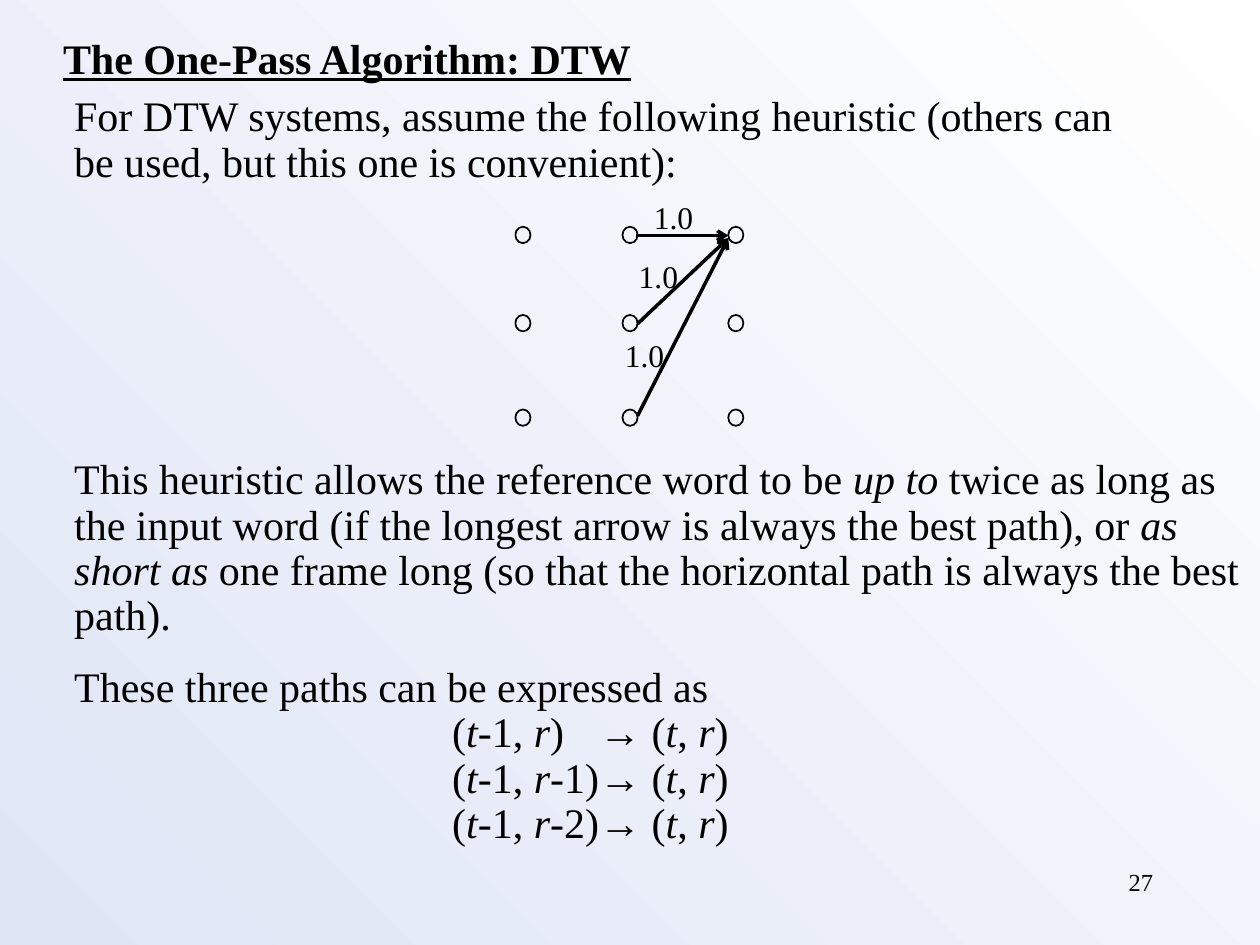
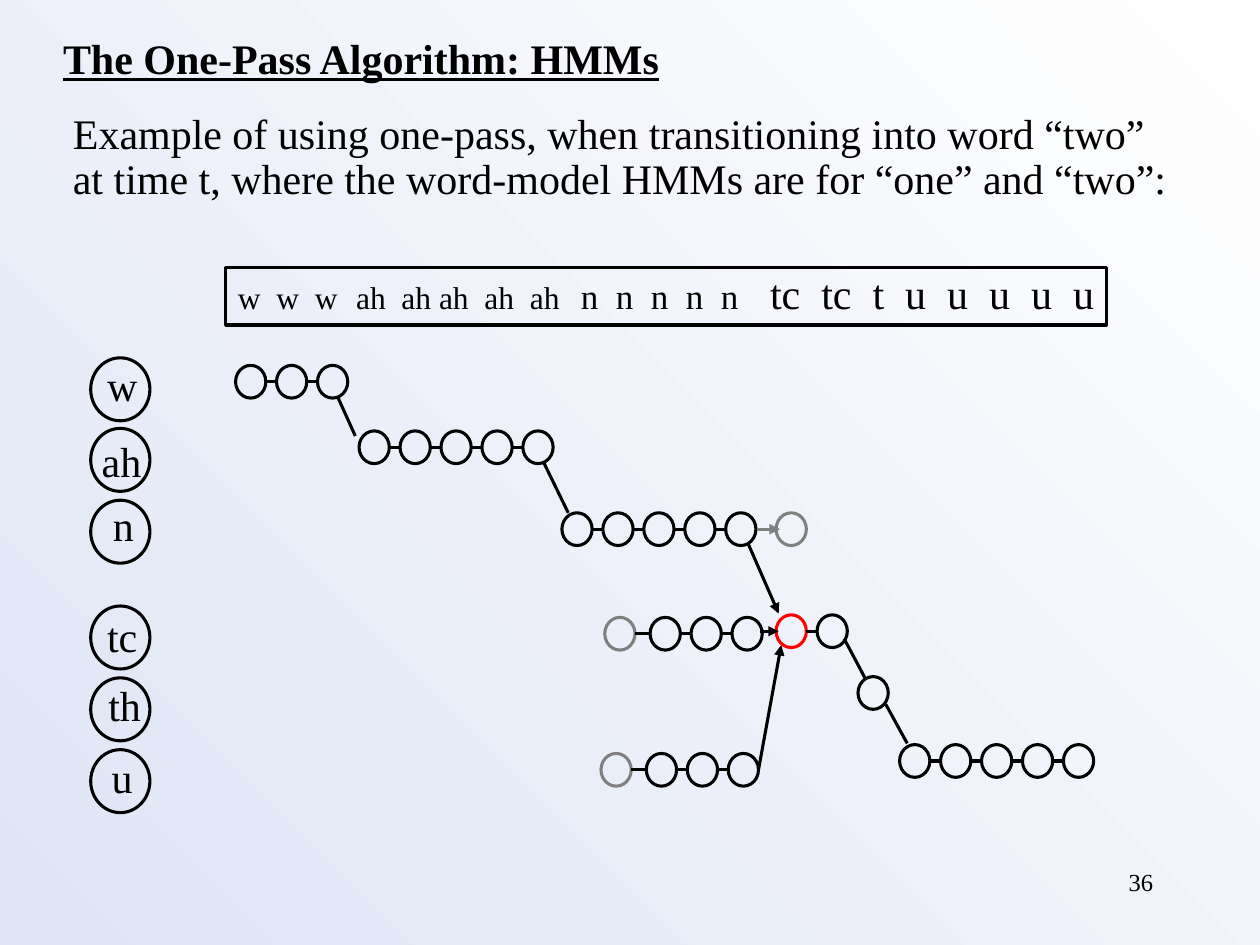
from typing import Any, NamedTuple, Optional

import lxml.etree
import pptx
import pptx.dml.color
import pptx.enum.shapes
import pptx.enum.text
import pptx.oxml.ns
import pptx.util

Inches = pptx.util.Inches
Pt = pptx.util.Pt
Align = pptx.enum.text.PP_ALIGN
Anchor = pptx.enum.text.MSO_ANCHOR
Preset = pptx.enum.shapes.MSO_SHAPE
Color = pptx.dml.color.RGBColor

BLACK = Color(0x00, 0x00, 0x00)
WHITE = Color(0xFF, 0xFF, 0xFF)
PALE_BLUE = Color(0xDF, 0xE5, 0xF5)
GRAY = Color(0x80, 0x80, 0x80)
RED = Color(0xFF, 0x00, 0x00)

FONT = "Times New Roman"
TIGHT = 0.9
TITLE_FORMAT = {"bold": True, "underline": True}
TITLE_ONLY = 5

NODE_WIDTH, NODE_HEIGHT = 0.24, 0.26
NODE_PITCH = 0.325
LEAD_IN = 0.36


class Box(NamedTuple):
    left: float
    top: float
    width: float
    height: float


class Span(NamedTuple):
    text: str
    size: float = 24
    italic: bool = False


class Para(NamedTuple):
    spans: list[Span]
    format: dict[str, Any] = {}
    indent: float = 0


class Link(NamedTuple):
    start: tuple[float, float]
    end: tuple[float, float]
    head: Optional[str] = None
    color: Color = BLACK
    weight: float = 1.75


class State(NamedTuple):
    label: str
    top: float
    label_box: Box


class Chain(NamedTuple):
    """A row of linked trellis nodes, optionally led in by a gray node."""
    left: float
    top: float
    count: int = 1
    first_color: Color = BLACK
    led_in: bool = False


TITLE_BOX = Box(0.4, 0.21, 5, 0.5)
NUMBER_BOX = Box(7.17, 6.83, 2.08, 0.5)

GRID_LEFTS = (4.09, 4.94, 5.78)
GRID_TOPS = (1.8, 2.5, 3.25)
GRID_TARGET = (5.78, 1.89)
STEPS = [
    Link((5.05, 1.87), (5.78, 1.87), "arrow", weight=2),
    Link((5.06, 2.57), GRID_TARGET, "arrow", weight=2),
    Link((5.06, 3.3), GRID_TARGET, "arrow", weight=2),
]
STEP_WEIGHT_CORNERS = [(5.09, 1.52), (4.97, 1.99), (4.86, 2.62)]

STATES = [
    State("w", 2.84, Box(0.75, 2.85, 0.44, 0.46)),
    State("ah", 3.4, Box(0.71, 3.45, 0.51, 0.46)),
    State("n", 3.97, Box(0.8, 3.96, 0.36, 0.46)),
    State("tc", 4.81, Box(0.75, 4.84, 0.44, 0.46)),
    State("th", 5.38, Box(0.76, 5.39, 0.46, 0.46)),
    State("u", 5.95, Box(0.79, 5.96, 0.36, 0.46)),
]
OBSERVATIONS = [
    Span("w  w  w ", 18), Span(" "), Span("ah  ah ah  ah  ah", 18), Span("  "),
    Span("n  n  n  n  n", 20), Span("   tc  tc  t  u  u  u  u  u"),
]
CHAINS = [
    Chain(1.87, 2.9, 3),
    Chain(2.85, 3.42, 5),
    Chain(4.46, 4.07, 5),
    Chain(6.16, 4.07, first_color=GRAY),
    Chain(5.16, 4.9, 3, led_in=True),
    Chain(6.16, 4.88, 2, first_color=RED),
    Chain(6.81, 5.37),
    Chain(7.14, 5.91, 5),
    Chain(5.13, 5.98, 3, led_in=True),
]
TRANSITIONS = [
    Link((2.68, 3.15), (2.82, 3.46)),
    Link((4.31, 3.66), (4.51, 4.07)),
    Link((6.7, 5.07), (6.87, 5.39)),
    Link((7.03, 5.59), (7.2, 5.9)),
    Link((6.01, 4.2), (6.19, 4.2), "triangle", GRAY),
    Link((5.94, 4.32), (6.18, 4.87), "triangle"),
    Link((6.03, 5.01), (6.18, 5.01), "triangle"),
    Link((6.02, 6.11), (6.2, 5.12), "triangle"),
]


def apply_format(target: Any, values: dict[str, Any]) -> None:
    for name, value in values.items():
        setattr(target, name, value)


def inches(box: Box) -> list[int]:
    return [Inches(length) for length in box]


def with_italics(markup: str) -> list[Span]:
    """Split text at asterisks; every second piece is italic."""
    return [Span(piece, italic=i % 2 == 1)
            for i, piece in enumerate(markup.split("*")) if piece]


def write(frame: Any, paras: list[Para], wrap: bool = False,
          anchor: Any = Anchor.TOP, font_format: dict[str, Any] = {}) -> None:
    apply_format(frame, {"word_wrap": wrap, "vertical_anchor": anchor,
                         "auto_size": pptx.enum.text.MSO_AUTO_SIZE.NONE})
    for i, para in enumerate(paras):
        paragraph = frame.add_paragraph() if i else frame.paragraphs[0]
        apply_format(paragraph, {"alignment": Align.LEFT, **para.format})
        if para.indent:
            properties = paragraph._p.get_or_add_pPr()
            properties.set("marL", str(Inches(para.indent)))
            properties.set("indent", "0")
        for span in para.spans:
            for j, line in enumerate(span.text.split("\n")):
                if j:
                    paragraph.add_line_break()
                run = paragraph.add_run()
                run.text = line
                apply_format(run.font, {"name": FONT, "size": Pt(span.size),
                                        "italic": span.italic, **font_format})
                run.font.color.rgb = BLACK


def add_text(slide: Any, box: Box, paras: list[Para], wrap: bool = False,
             anchor: Any = Anchor.TOP) -> None:
    write(slide.shapes.add_textbox(*inches(box)).text_frame, paras, wrap, anchor)


def add_outline(slide: Any, preset: Any, box: Box, color: Color = BLACK,
                weight: float = 1.75) -> Any:
    outline = slide.shapes.add_shape(preset, *inches(box))
    outline.shadow.inherit = False
    outline.fill.background()
    outline.line.color.rgb = color
    outline.line.width = Pt(weight)
    return outline


def add_link(slide: Any, link: Link) -> None:
    connector = slide.shapes.add_connector(
        pptx.enum.shapes.MSO_CONNECTOR.STRAIGHT,
        *(Inches(length) for length in link.start + link.end))
    connector.line.color.rgb = link.color
    connector.line.width = Pt(link.weight)
    qn = pptx.oxml.ns.qn
    properties = connector._element.spPr
    if link.head:
        lxml.etree.SubElement(properties.find(qn("a:ln")), qn("a:tailEnd"),
                              type=link.head)
    lxml.etree.SubElement(properties, qn("a:effectLst"))


def add_chain(slide: Any, chain: Chain) -> None:
    lefts = [chain.left + i * NODE_PITCH for i in range(chain.count)]
    colors = [chain.first_color] + [BLACK] * (chain.count - 1)
    if chain.led_in:
        lefts.insert(0, chain.left - LEAD_IN)
        colors.insert(0, GRAY)
    for left, color in zip(lefts, colors):
        add_outline(slide, Preset.OVAL,
                    Box(left, chain.top, NODE_WIDTH, NODE_HEIGHT), color)
    middle = chain.top + NODE_HEIGHT / 2
    for left, following in zip(lefts, lefts[1:]):
        add_link(slide, Link((left + NODE_WIDTH, middle), (following, middle)))


def start_slide(deck: Any, title: str, number: int) -> Any:
    slide = deck.slides.add_slide(deck.slide_layouts[TITLE_ONLY])
    heading = slide.shapes.title
    apply_format(heading, dict(zip(("left", "top", "width", "height"),
                                   inches(TITLE_BOX))))
    write(heading.text_frame, [Para([Span(title)])], font_format=TITLE_FORMAT)
    add_text(slide, NUMBER_BOX,
             [Para([Span(str(number), 14)], {"alignment": Align.RIGHT})], wrap=True)
    return slide


def build_dtw_slide(deck: Any) -> None:
    slide = start_slide(deck, "The One-Pass Algorithm: DTW", 27)
    tight = {"line_spacing": TIGHT}
    add_text(slide, Box(0.49, 0.71, 9.51, 0.82), [Para([Span(
        "For DTW systems, assume the following heuristic (others can\n"
        "be used, but this one is convenient):")], tight)], wrap=True)

    for step in STEPS:
        add_link(slide, step)
    for left in GRID_LEFTS:
        for top in GRID_TOPS:
            add_outline(slide, Preset.OVAL, Box(left, top, 0.12, 0.13), weight=1)
    for left, top in STEP_WEIGHT_CORNERS:
        add_text(slide, Box(left, top, 0.51, 0.4),
                 [Para([Span("1.0", 18)], {"alignment": Align.CENTER})])

    explanation = Para(with_italics(
        "This heuristic allows the reference word to be *up to* twice as long as "
        "the input word (if the longest arrow is always the best path), or "
        "*as short as* one frame long (so that the horizontal path is always "
        "the best path)."), tight)
    lead = Para([Span("These three paths can be expressed as")],
                {**tight, "space_before": Pt(15)})
    moves = [Para(with_italics(f"(*t*-1, *r*{origin}→ (*t*, *r*)"), tight, indent=3)
             for origin in (") \t  ", "-1)", "-2)")]
    add_text(slide, Box(0.49, 3.59, 9.51, 3.19), [explanation, lead, *moves], wrap=True)


def build_hmm_slide(deck: Any) -> None:
    slide = start_slide(deck, "The One-Pass Algorithm: HMMs", 36)
    tight = {"line_spacing": TIGHT}
    add_text(slide, Box(0.48, 0.85, 8.88, 0.82), [Para([Span(
        "Example of using one-pass, when transitioning into word “two”\n"
        "at time t, where the word-model HMMs are for “one” and “two”:")], tight)])

    observed = add_outline(slide, Preset.RECTANGLE, Box(1.79, 2.12, 6.99, 0.46))
    write(observed.text_frame, [Para(OBSERVATIONS, tight)])

    for state in STATES:
        add_outline(slide, Preset.OVAL, Box(0.72, state.top, 0.47, 0.5))
        add_text(slide, state.label_box,
                 [Para([Span(state.label)], {**tight, "alignment": Align.CENTER})],
                 anchor=Anchor.MIDDLE)
    for chain in CHAINS:
        add_chain(slide, chain)
    for transition in TRANSITIONS:
        add_link(slide, transition)


def main() -> None:
    deck = pptx.Presentation()
    apply_format(deck, {"slide_width": Inches(10), "slide_height": Inches(7.5)})
    backdrop = deck.slide_master.background.fill
    backdrop.gradient()
    backdrop.gradient_angle = 225
    for stop, color, position in zip(backdrop.gradient_stops,
                                     (WHITE, PALE_BLUE), (0, 1)):
        stop.color.rgb = color
        stop.position = position
    build_dtw_slide(deck)
    build_hmm_slide(deck)
    deck.save("out.pptx")


if __name__ == "__main__":
    main()
